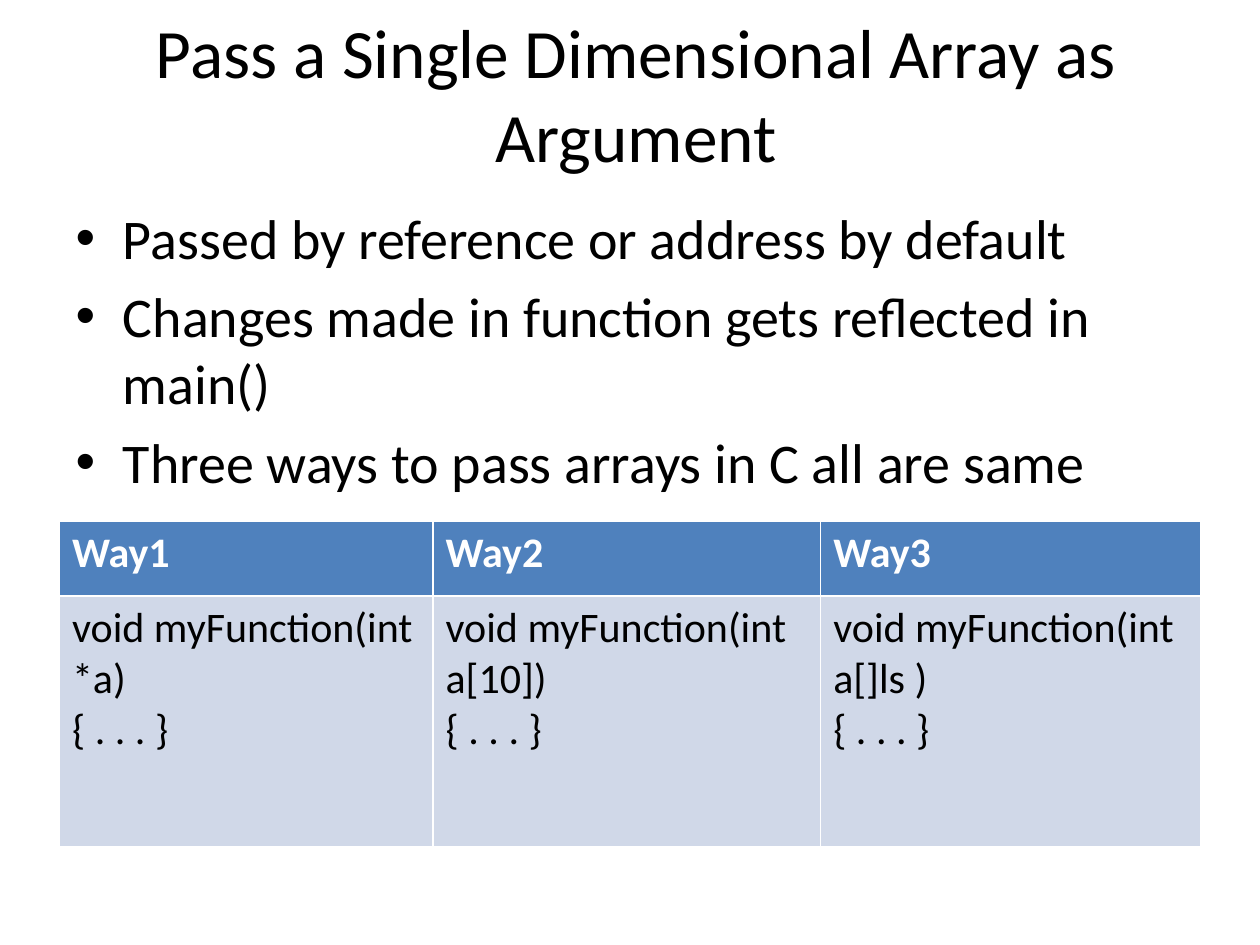
"""Build a slide on passing a one-dimensional array to a C function."""
from pptx import Presentation
from pptx.dml.color import RGBColor
from pptx.enum.text import MSO_ANCHOR, MSO_AUTO_SIZE, PP_ALIGN
from pptx.util import Pt

MIDDLE, TOP = MSO_ANCHOR.MIDDLE, MSO_ANCHOR.TOP
CENTER, LEFT = PP_ALIGN.CENTER, PP_ALIGN.LEFT
FIXED = MSO_AUTO_SIZE.NONE
FONT = "Calibri"
COLORS = {"text": "000000", "head": "4F81BD", "light": "FFFFFF", "cell": "D0D8E8"}


def style(frame, size, color, align=LEFT, bold=False):
    for para in frame.paragraphs:
        para.alignment = align
        font = para.font
        font.name, font.size, font.bold = FONT, Pt(size), bold
        font.color.rgb = RGBColor.from_string(COLORS[color])


def place(shape, left, top, width, height, anchor):
    shape.left, shape.top = Pt(left), Pt(top)
    shape.width, shape.height = Pt(width), Pt(height)
    frame = shape.text_frame
    frame.word_wrap, frame.auto_size = True, FIXED
    frame.vertical_anchor = anchor
    return frame


deck = Presentation()
deck.slide_width, deck.slide_height = Pt(720), Pt(540)
slide = deck.slides.add_slide(deck.slide_layouts[1])
title, body = slide.placeholders

frame = place(title, 39.6, 16, 648, 74, MIDDLE)
frame.text = "Pass a Single Dimensional Array as Argument"
style(frame, 39.6, "text", CENTER)

points = [
    "Passed by reference or address by default",
    "Changes made in function gets reflected in main()",
    "Three ways to pass arrays in C all are same",
]
frame = place(body, 36, 112.5, 648, 196.5, TOP)
frame.text = "\n".join(points)
style(frame, 32, "text")

ways = [
    ("Way1", "void myFunction(int *a)", 213.5),
    ("Way2", "void myFunction(int a[10])", 221.5),
    ("Way3", "void myFunction(int a[]ls )", 217),
]
total = sum(width for _, _, width in ways)
table = slide.shapes.add_table(2, len(ways), Pt(34), Pt(298), Pt(total), Pt(186)).table
table.rows[0].height, table.rows[1].height = Pt(42.5), Pt(143.5)

for col, (name, code, width) in enumerate(ways):
    table.columns[col].width = Pt(width)
    looks = [(name, "head", "light", True), (code + "\n{ . . . }", "cell", "text", False)]
    for row, (text, fill, color, bold) in enumerate(looks):
        cell = table.cell(row, col)
        cell.text = text
        cell.fill.solid()
        cell.fill.fore_color.rgb = RGBColor.from_string(COLORS[fill])
        style(cell.text_frame, 24, color, bold=bold)

deck.save("out.pptx")
